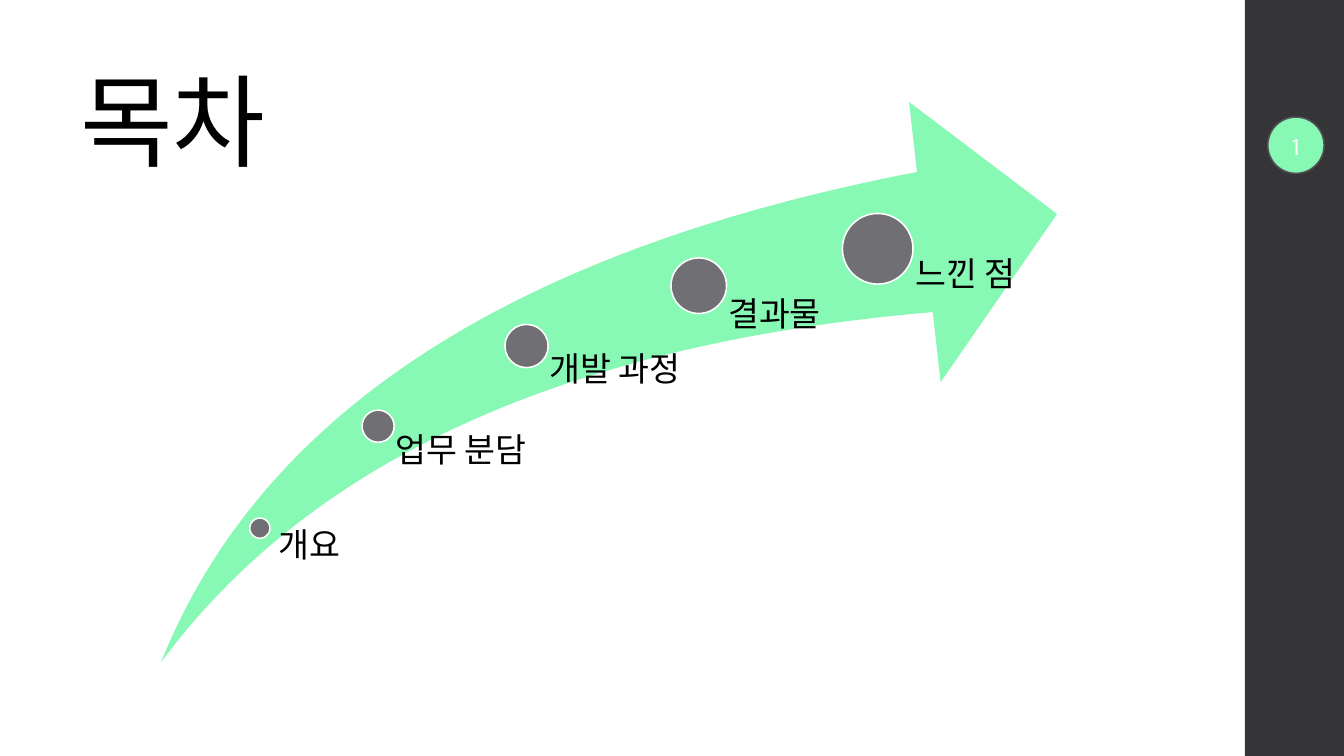
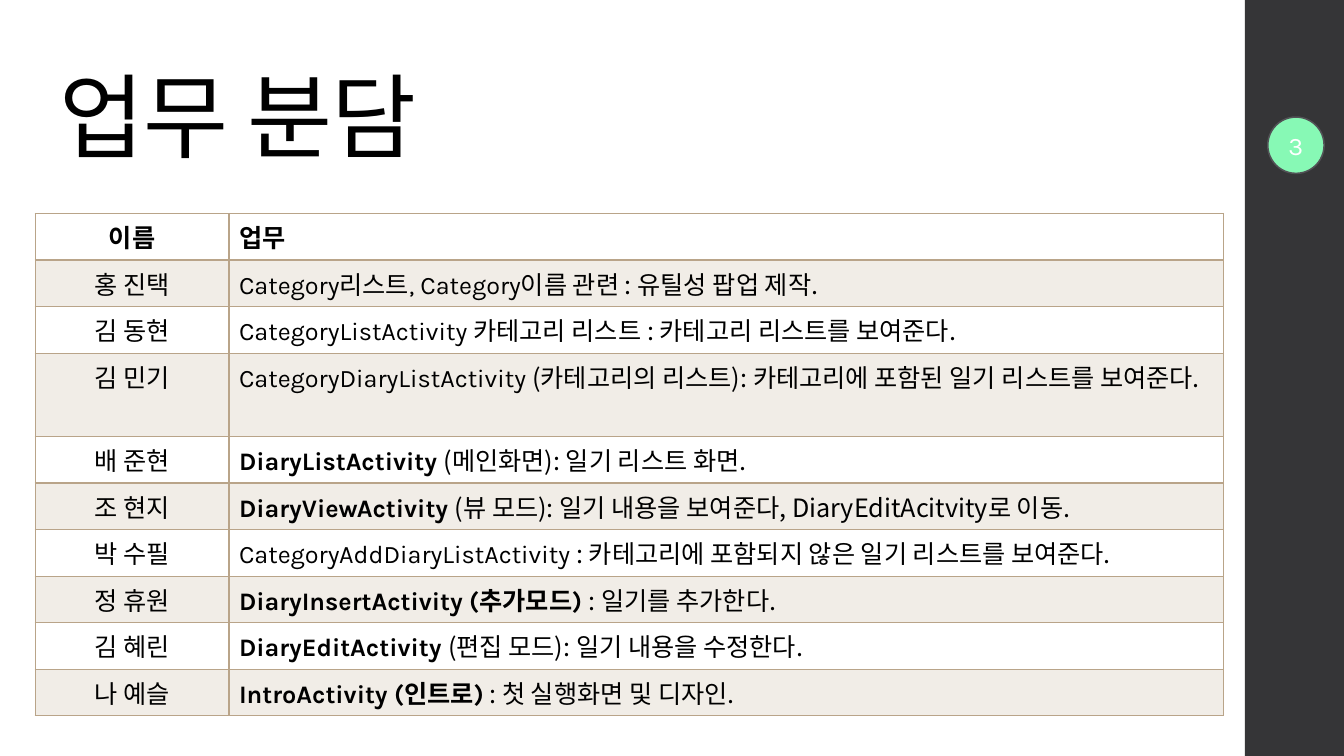
"""Build the contents slide and the task assignment slide."""
from lxml import etree
from pptx import Presentation
from pptx.dml.color import RGBColor
from pptx.enum.shapes import MSO_SHAPE
from pptx.enum.text import MSO_ANCHOR, MSO_AUTO_SIZE, PP_ALIGN
from pptx.oxml.ns import qn
from pptx.util import Cm, Pt

RECT, OVAL, SWOOSH = MSO_SHAPE.RECTANGLE, MSO_SHAPE.OVAL, MSO_SHAPE.SWOOSH_ARROW
LEFT, CENTER = PP_ALIGN.LEFT, PP_ALIGN.CENTER
TOP, MIDDLE, BOTTOM = MSO_ANCHOR.TOP, MSO_ANCHOR.MIDDLE, MSO_ANCHOR.BOTTOM
NO_AUTOFIT = MSO_AUTO_SIZE.NONE

COLORS = {
    "text": "000000", "white": "FFFFFF", "band": "353537", "mint": "87F9B5",
    "ring": "525256", "dot": "6F6F74", "border": "B9A489", "stripe": "F1EDE7",
}
KOREAN, LATIN = "Noto Sans CJK KR", "Karla"
SLIDE_W, SLIDE_H = 33.87, 19.05
BAND_X = 31.37

ARROW = (4.06, 2.57, 22.58, 14.12)
STEPS = [
    (" 개요", 6.55, 13.31, 0.51, 13.31, 2.95),
    ("업무 분담", 9.53, 10.74, 0.81, 10.92, 3.76),
    ("개발 과정", 13.27, 8.72, 1.09, 8.89, 4.37),
    ("결과물", 17.61, 7.2, 1.4, 7.49, 4.52),
    ("느낀 점", 22.12, 6.27, 1.78, 6.5, 4.52),
]
TASKS = [
    ("홍 진택", "Category리스트, Category이름 관련 ", ": 유틸성 팝업 제작.", False),
    ("김 동현", "CategoryListActivity 카테고리 리스트 ",
     ": 카테고리 리스트를 보여준다.", False),
    ("김 민기", "CategoryDiaryListActivity ",
     "(카테고리의 리스트): 카테고리에 포함된 일기 리스트를 보여준다.", False),
    ("배 준현", "DiaryListActivity ", "(메인화면): 일기 리스트 화면.", True),
    ("조 현지", "DiaryViewActivity ",
     "(뷰 모드): 일기 내용을 보여준다, DiaryEditAcitvity로 이동.", True),
    ("박 수필", "CategoryAddDiaryListActivity ",
     ": 카테고리에 포함되지 않은 일기 리스트를 보여준다.", False),
    ("정 휴원", "DiaryInsertActivity (추가모드) ", ": 일기를 추가한다.", True),
    ("김 혜린", "DiaryEditActivity ", "(편집 모드): 일기 내용을 수정한다.", True),
    ("나 예슬", "IntroActivity (인트로)", " : 첫 실행화면 및 디자인.", True),
]


def rgb(name):
    return RGBColor.from_string(COLORS[name])


class Deck:
    def __init__(self):
        self.prs = Presentation()
        self.prs.slide_width, self.prs.slide_height = Cm(SLIDE_W), Cm(SLIDE_H)
        self.slide = None

    def new_slide(self, title, left, top, size, number):
        self.slide = self.prs.slides.add_slide(self.prs.slide_layouts[5])
        self.shape(RECT, (BAND_X, 0, SLIDE_W - BAND_X, SLIDE_H), "band")
        sp = self.slide.shapes.title
        sp.left, sp.top, sp.width, sp.height = Cm(left), Cm(top), Cm(26.92), Cm(3.68)
        tf = sp.text_frame
        tf.auto_size, tf.vertical_anchor = NO_AUTOFIT, BOTTOM
        self.add_runs(tf, [(title, KOREAN, False)], size, spacing=0.9)
        tf.paragraphs[0].runs[0].font._element.set("spc", "-50")
        self.badge(number)

    def add_runs(self, tf, parts, size, color="text", align=LEFT, spacing=None):
        p = tf.paragraphs[0]
        p.alignment, p.line_spacing = align, spacing
        for text, font, bold in parts:
            r = p.add_run()
            r.text = text
            r.font.size, r.font.bold, r.font.name = Pt(size), bold, font
            r.font.color.rgb = rgb(color)
            etree.SubElement(r.font._element, qn("a:ea"), typeface=KOREAN)

    def shape(self, kind, box, fill, line=None):
        sp = self.slide.shapes.add_shape(kind, *map(Cm, box))
        sp.shadow.inherit = False
        sp.fill.solid()
        sp.fill.fore_color.rgb = rgb(fill)
        if line:
            sp.line.color.rgb, sp.line.width = rgb(line), Pt(1.1)
        else:
            sp.line.fill.background()
        return sp

    def circle(self, x, y, d, fill, line):
        return self.shape(OVAL, (x - d / 2, y - d / 2, d, d), fill, line)

    def badge(self, number):
        tf = self.circle(32.66, 3.66, 1.42, "mint", "ring").text_frame
        tf.word_wrap, tf.vertical_anchor = False, MIDDLE
        tf.margin_left = tf.margin_right = tf.margin_top = tf.margin_bottom = 0
        self.add_runs(tf, [(number, LATIN, False)], 18, "white", CENTER)

    def label(self, text, box, indent):
        tf = self.slide.shapes.add_textbox(*map(Cm, box)).text_frame
        tf.word_wrap, tf.vertical_anchor = True, TOP
        tf.margin_left = Cm(indent)
        tf.margin_right = tf.margin_top = tf.margin_bottom = 0
        self.add_runs(tf, [(text, KOREAN, False)], 24, spacing=0.9)

    def swoosh(self, box):
        sp = self.shape(SWOOSH, box, "mint")
        sp.adjustments[0] = sp.adjustments[1] = 0.25

    def cell(self, cell, parts, align, fill, widths):
        self.add_runs(cell.text_frame, parts, 18, align=align)
        tc_pr = cell._tc.get_or_add_tcPr()
        for side, width in zip("LRTB", widths):
            ln = etree.SubElement(tc_pr, qn(f"a:ln{side}"), w=str(int(Pt(width))))
            solid = etree.SubElement(ln, qn("a:solidFill"))
            etree.SubElement(solid, qn("a:srgbClr"), val=COLORS["border"])
        cell.fill.solid()
        cell.fill.fore_color.rgb = rgb(fill)

    def table(self, rows, left, top, widths, row_h):
        box = (left, top, sum(widths), row_h * len(rows))
        table = self.slide.shapes.add_table(
            len(rows), len(widths), *map(Cm, box)).table
        table.first_row = table.horz_banding = False
        for column, width in zip(table.columns, widths):
            column.width = Cm(width)
        for i, row in enumerate(rows):
            fill = "stripe" if i % 2 else "white"
            borders = (1, 1, 2 if i == 1 else 1, 2 if i == 0 else 1)
            for j, parts in enumerate(row):
                align = LEFT if j else CENTER
                self.cell(table.cell(i, j), parts, align, fill, borders)


def main():
    deck = Deck()

    deck.new_slide("목차", 1.78, 1.02, 72, "1")
    deck.swoosh(ARROW)
    bottom = ARROW[1] + ARROW[3]
    for text, x, y, d, top, width in STEPS:
        deck.circle(x, y, d, "dot", "white")
        deck.label(text, (x, top, width, bottom - top), 0.53 * d)

    deck.new_slide("업무 분담", 1.24, 0.76, 66, "3")
    rows = [[[("이름", KOREAN, True)], [("업무", KOREAN, True)]]]
    for name, lead, rest, bold in TASKS:
        rows.append([[(name, KOREAN, False)],
                     [(lead, LATIN, bold), (rest, KOREAN, False)]])
    deck.table(rows, 0.89, 5.38, (4.88, 25.07), 1.17)

    deck.prs.save("out.pptx")


if __name__ == "__main__":
    main()
